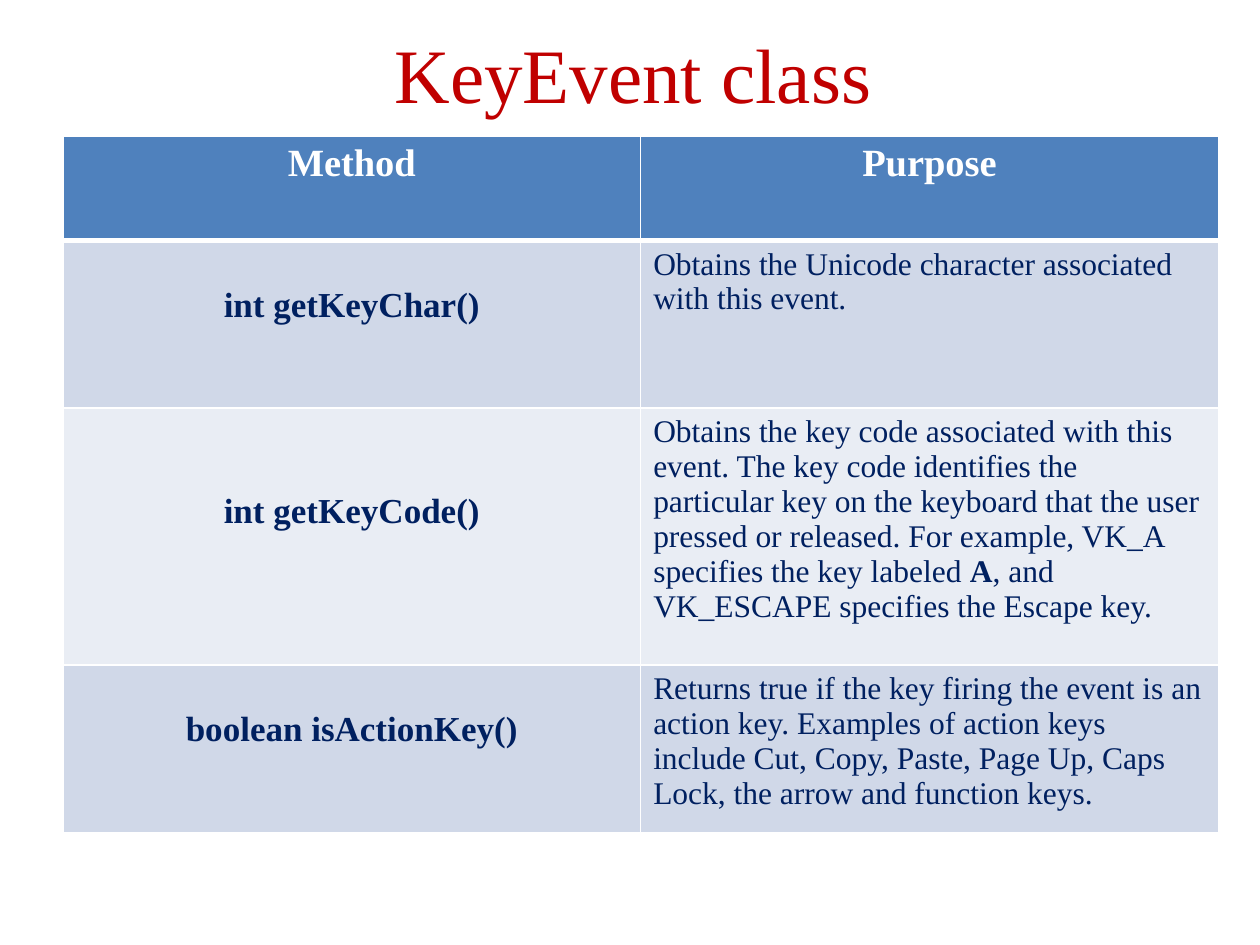
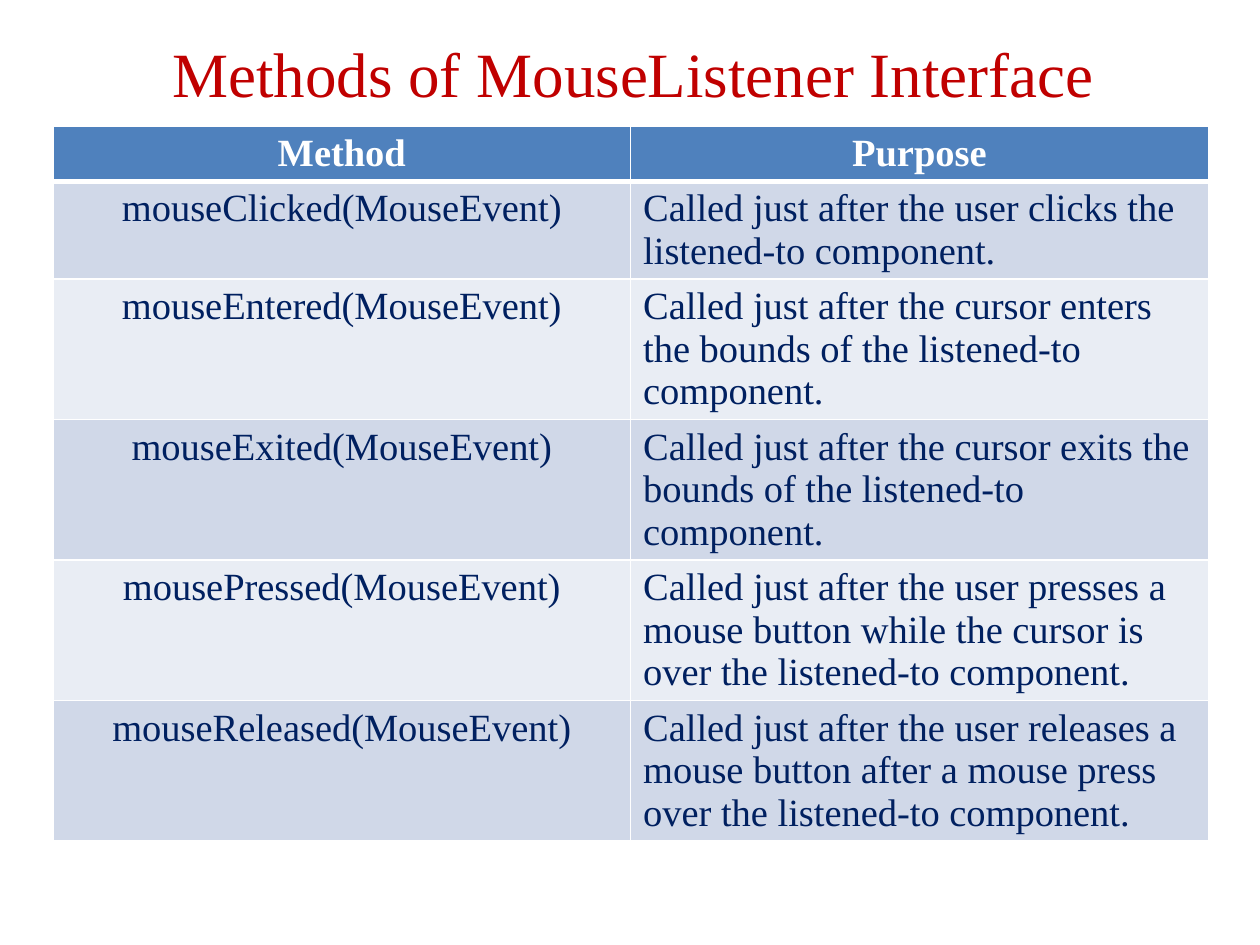
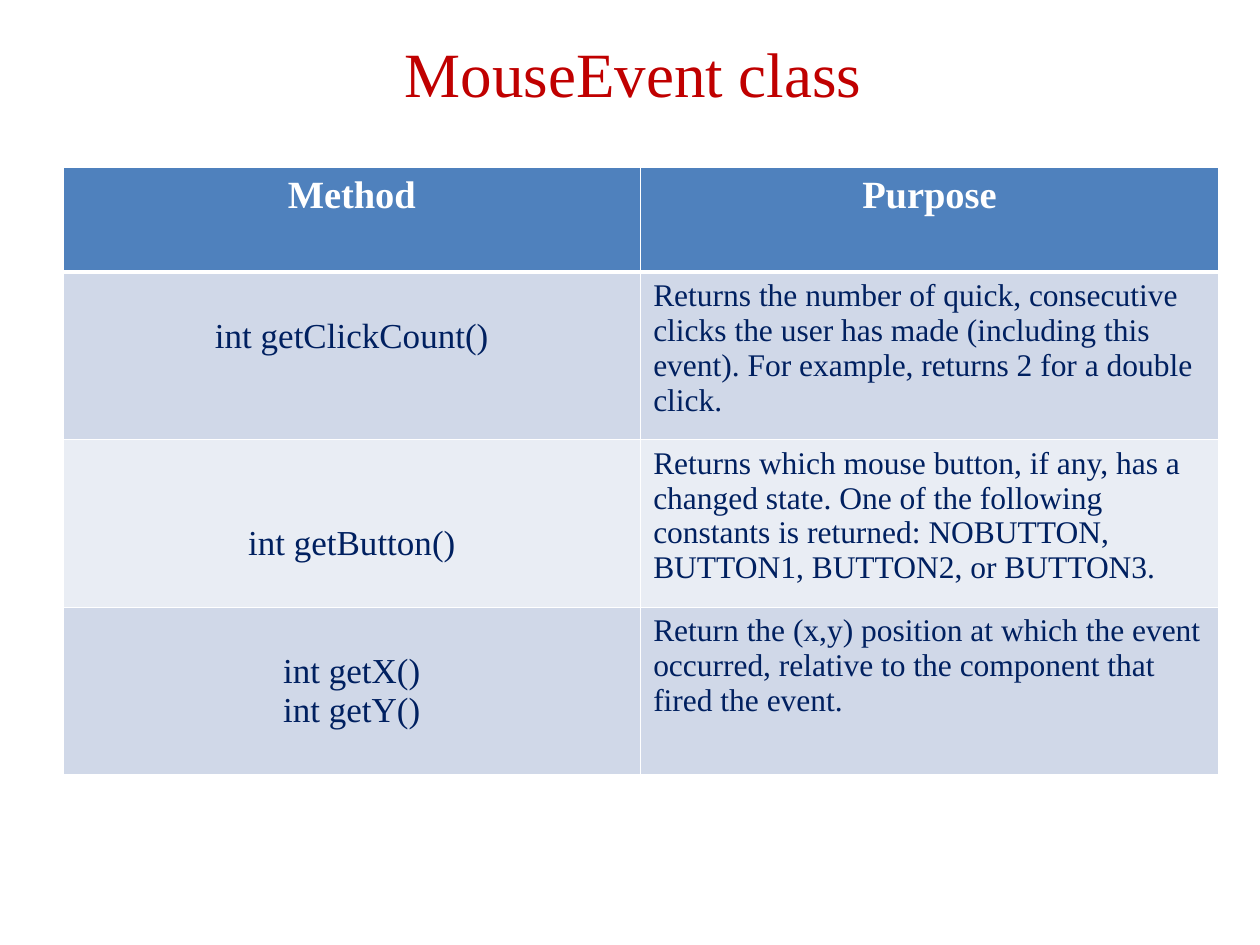
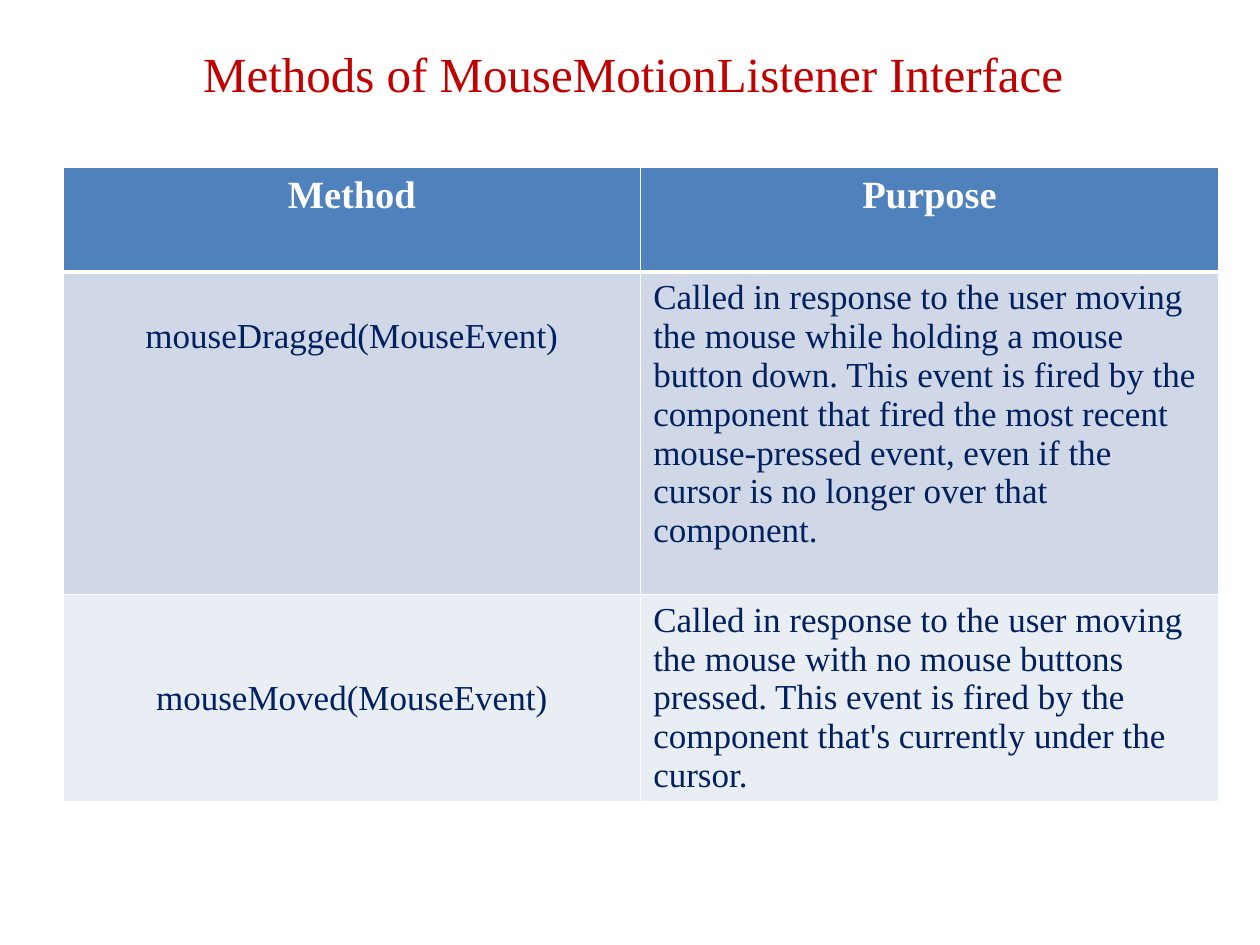
from dataclasses import dataclass

from lxml.etree import SubElement
from pptx import Presentation
from pptx.dml.color import RGBColor
from pptx.enum.text import MSO_ANCHOR, MSO_AUTO_SIZE, PP_ALIGN
from pptx.oxml.ns import qn
from pptx.util import Inches, Pt

FONT = "Times New Roman"
WHITE = RGBColor(0xFF, 0xFF, 0xFF)
RED = RGBColor(0xC0, 0x00, 0x00)
NAVY = RGBColor(0x00, 0x20, 0x60)
HEADER_BLUE = RGBColor(0x4F, 0x81, 0xBD)
BANDS = (RGBColor(0xD0, 0xD8, 0xE8), RGBColor(0xE9, 0xED, 0xF4))

TITLE_ONLY = 5
COL_W = 4.585
CELL_MARGIN = 0.05
DROP_LINE = 0.31
HEADINGS = ("Method", "Purpose")
HEADING_SIZE = 22


@dataclass
class Row:
    """drop counts the lines by which the method name is lowered; *stars* mark bold text."""
    method: str
    purpose: str
    height: float
    drop: int = 0


@dataclass
class TableSlide:
    title: str
    title_size: int
    left: float
    top: float
    header_height: float
    method_size: int
    purpose_size: int
    rows: list[Row]
    bold_methods: bool = False


SLIDES = [
    TableSlide("KeyEvent class", 44, 0.5, 1.08, 0.83, 20, 18, [
        Row("int getKeyChar()",
            "Obtains the Unicode character associated with this event.", 1.33, 1),
        Row("int getKeyCode()",
            "Obtains the key code associated with this event. The key code identifies the "
            "particular key on the keyboard that the user pressed or released. For example, "
            "VK_A specifies the key labeled *A*, and VK_ESCAPE specifies the Escape key.",
            2.04, 2),
        Row("boolean isActionKey()",
            "Returns true if the key firing the event is an action key. Examples of action "
            "keys include Cut, Copy, Paste, Page Up, Caps Lock, the arrow and function keys.",
            1.33, 1),
    ], bold_methods=True),
    TableSlide("Methods of MouseListener Interface", 36, 0.42, 1, 0.43, 22, 22, [
        Row("mouseClicked(MouseEvent)",
            "Called just after the user clicks the listened-to component.", 0.77),
        Row("mouseEntered(MouseEvent)",
            "Called just after the cursor enters the bounds of the listened-to component.", 1.11),
        Row("mouseExited(MouseEvent)",
            "Called just after the cursor exits the bounds of the listened-to component.", 1.11),
        Row("mousePressed(MouseEvent)",
            "Called just after the user presses a mouse button while the cursor is over the "
            "listened-to component.", 1.11),
        Row("mouseReleased(MouseEvent)",
            "Called just after the user releases a mouse button after a mouse press over the "
            "listened-to component.", 1.11),
    ]),
    TableSlide("MouseEvent class", 36, 0.5, 1.33, 0.83, 20, 18, [
        Row("int getClickCount()",
            "Returns the number of quick, consecutive clicks the user has made (including "
            "this event). For example, returns 2 for a double click.", 1.33, 1),
        Row("int getButton()",
            "Returns which mouse button, if any, has a changed state. One of the following "
            "constants is returned: NOBUTTON, BUTTON1, BUTTON2, or BUTTON3.", 1.33, 2),
        Row("int getX()\nint getY()",
            "Return the (x,y) position at which the event occurred, relative to the "
            "component that fired the event.", 1.33, 1),
    ]),
    TableSlide("Methods of MouseMotionListener Interface", 28, 0.5, 1.33, 0.83, 20, 20, [
        Row("mouseDragged(MouseEvent)",
            "Called in response to the user moving the mouse while holding a mouse button "
            "down. This event is fired by the component that fired the most recent "
            "mouse-pressed event, even if the cursor is no longer over that component.",
            2.56, 1),
        Row("mouseMoved(MouseEvent)",
            "Called in response to the user moving the mouse with no mouse buttons pressed. "
            "This event is fired by the component that's currently under the cursor.",
            1.63, 2),
    ]),
]


def write_text(tf, text: str, *, size: int, color: RGBColor, bold: bool = False,
               align: PP_ALIGN = PP_ALIGN.LEFT) -> None:
    """Fill the first paragraph; newlines break the line and *stars* switch bold."""
    p = tf.paragraphs[0]
    p.alignment = align
    for i, line in enumerate(text.split("\n")):
        if i:
            p.add_line_break()
        for j, part in enumerate(line.split("*")):
            r = p.add_run()
            r.text = part
            r.font.name = FONT
            r.font.size = Pt(size)
            r.font.bold = bold or j % 2 == 1
            r.font.color.rgb = color


def set_borders(cell, top: int, bottom: int) -> None:
    tc_pr = cell._tc.get_or_add_tcPr()
    widths = {"a:lnL": 1, "a:lnR": 1, "a:lnT": top, "a:lnB": bottom}
    for i, (tag, width) in enumerate(widths.items()):
        ln = SubElement(tc_pr, qn(tag), w=str(Pt(width)))
        fill = SubElement(ln, qn("a:solidFill"))
        SubElement(fill, qn("a:srgbClr"), val=str(WHITE))
        tc_pr.insert(i, ln)


def style_cell(cell, fill: RGBColor, top: int = 1, bottom: int = 1) -> None:
    cell.fill.solid()
    cell.fill.fore_color.rgb = fill
    set_borders(cell, top, bottom)


def add_title(s, text: str, size: int) -> None:
    sp = s.shapes.title
    sp.left, sp.top, sp.width, sp.height = Inches(0.55), Inches(0), Inches(8.95), Inches(1.15)
    tf = sp.text_frame
    tf.word_wrap = True
    tf.auto_size = MSO_AUTO_SIZE.NONE
    tf.vertical_anchor = MSO_ANCHOR.MIDDLE
    write_text(tf, text, size=size, color=RED, align=PP_ALIGN.CENTER)


def add_method_table(s, spec_: TableSlide) -> None:
    heights = [spec_.header_height] + [row.height for row in spec_.rows]
    table = s.shapes.add_table(len(heights), len(HEADINGS), Inches(spec_.left), Inches(spec_.top),
                               Inches(COL_W * len(HEADINGS)), Inches(sum(heights))).table
    for table_row, height in zip(table.rows, heights):
        table_row.height = Inches(height)

    for col, heading in enumerate(HEADINGS):
        cell = table.cell(0, col)
        style_cell(cell, HEADER_BLUE, bottom=3)
        write_text(cell.text_frame, heading, size=HEADING_SIZE, color=WHITE, bold=True,
                   align=PP_ALIGN.CENTER)

    for i, row in enumerate(spec_.rows):
        method, purpose = table.cell(i + 1, 0), table.cell(i + 1, 1)
        for cell in (method, purpose):
            style_cell(cell, BANDS[i % 2], top=1 if i else 3)
        method.margin_top = Inches(CELL_MARGIN + row.drop * DROP_LINE)
        write_text(method.text_frame, row.method, size=spec_.method_size, color=NAVY,
                   bold=spec_.bold_methods, align=PP_ALIGN.CENTER)
        write_text(purpose.text_frame, row.purpose, size=spec_.purpose_size, color=NAVY)


def main() -> None:
    prs = Presentation()
    prs.slide_width, prs.slide_height = Inches(10), Inches(7.5)
    for content in SLIDES:
        s = prs.slides.add_slide(prs.slide_layouts[TITLE_ONLY])
        add_title(s, content.title, content.title_size)
        add_method_table(s, content)
    prs.save("out.pptx")


if __name__ == "__main__":
    main()
